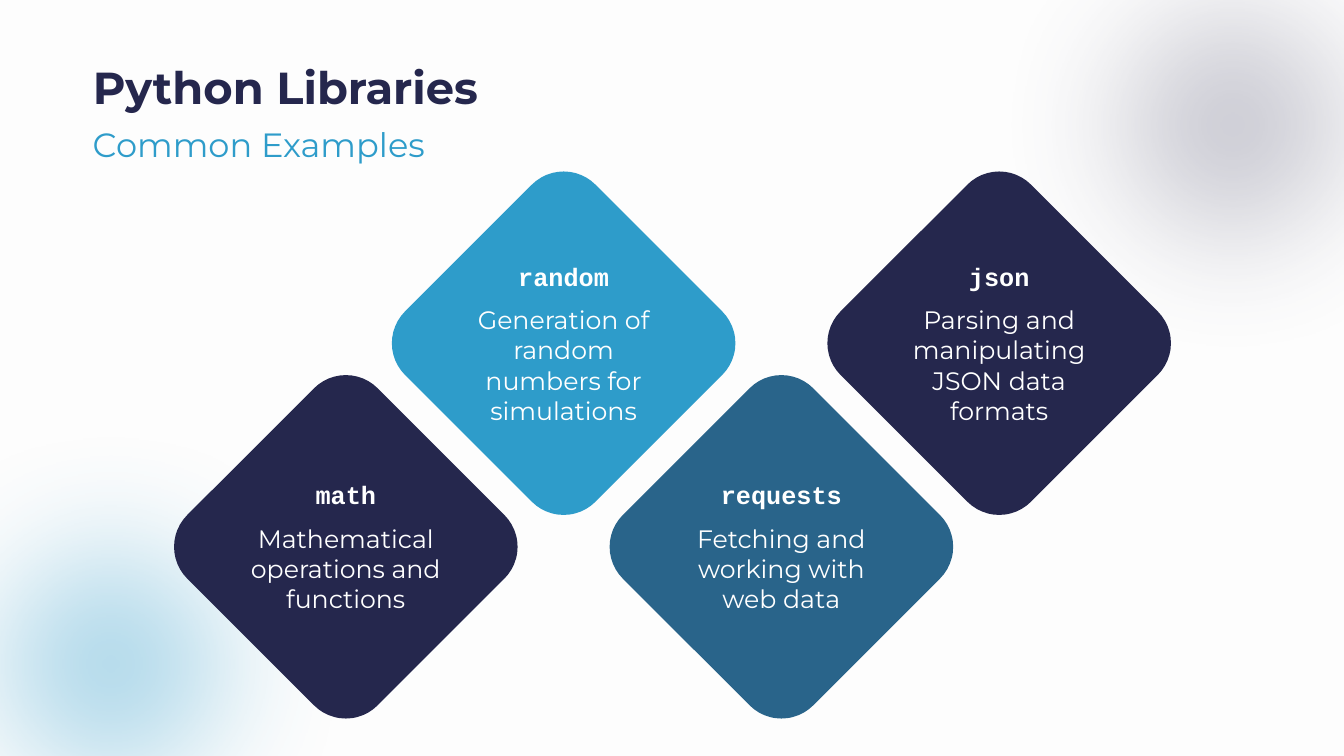
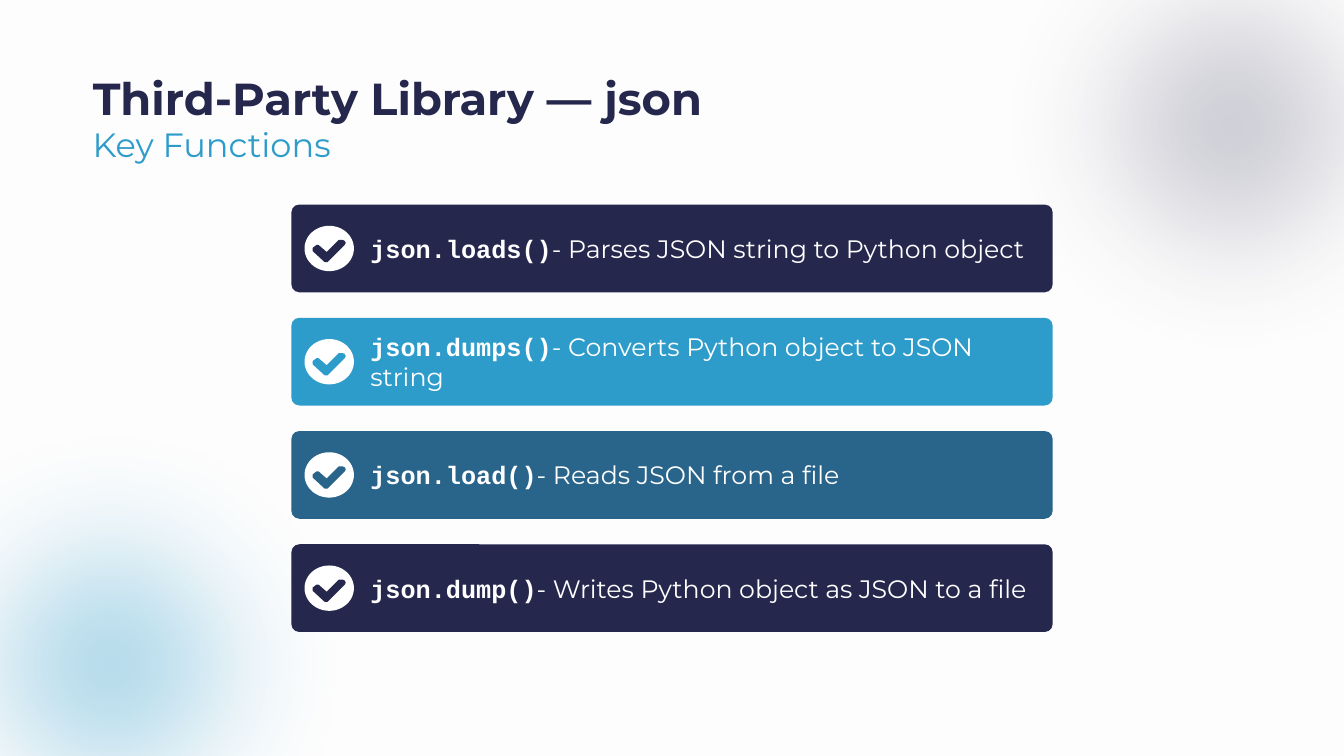
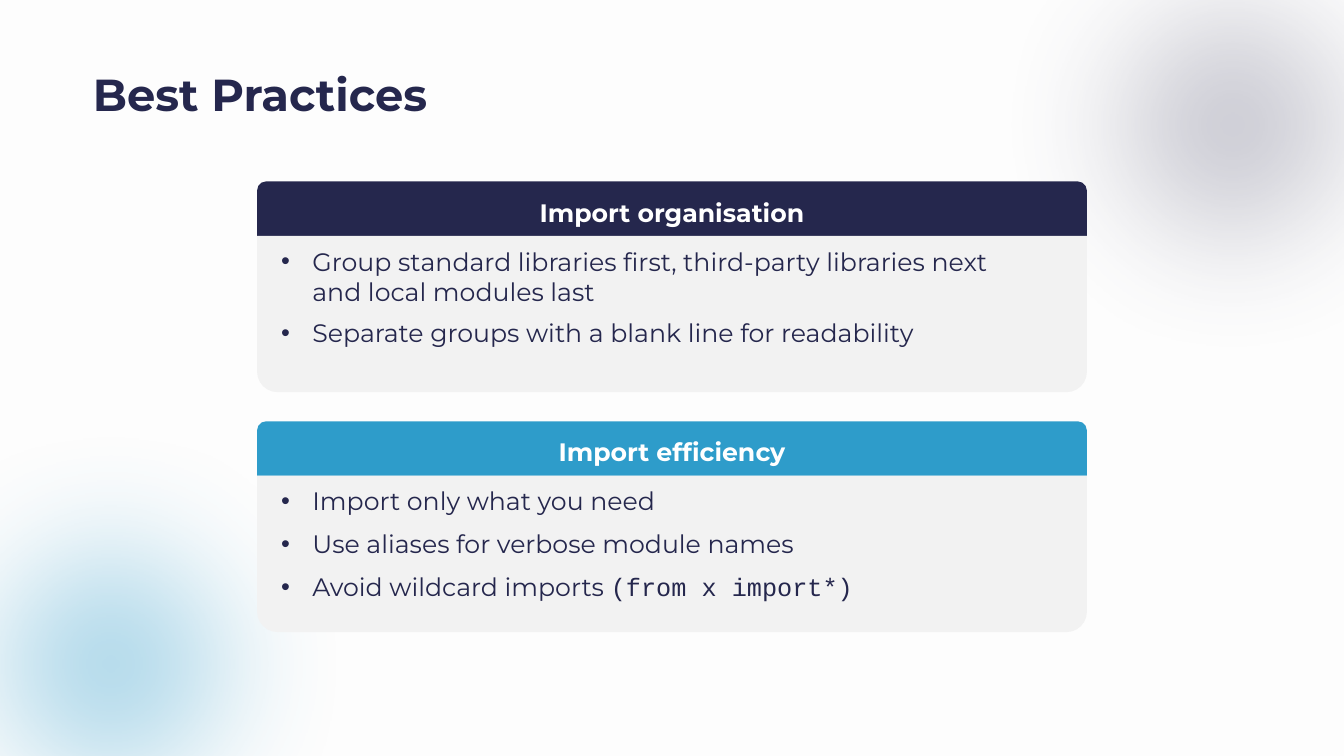
from lxml.etree import SubElement
from pptx import Presentation
from pptx.dml.color import RGBColor
from pptx.enum.shapes import MSO_SHAPE
from pptx.enum.text import MSO_ANCHOR, MSO_AUTO_SIZE, PP_ALIGN
from pptx.oxml.ns import qn
from pptx.util import Inches, Pt

COLORS = {
    "background": "FDFDFD",
    "navy": "25274D",
    "sky": "2E9CCA",
    "teal": "29648A",
    "slate": "464866",
    "panel": "F2F2F2",
    "white": "FFFFFF",
}
BODY_FONT = "Montserrat"
CODE_FONT = "Courier New"


def rgb(color):
    return RGBColor.from_string(COLORS[color])


class Deck:
    """Holds the presentation style and the current slide."""

    def __init__(self):
        self.presentation = Presentation()
        self.presentation.slide_width = Inches(13.33)
        self.presentation.slide_height = Inches(7.5)
        background = self.presentation.slide_master.background.fill
        background.solid()
        background.fore_color.rgb = rgb("background")
        self.slide = None

    def add_slide(self, title, title_top, subtitle=None):
        layout = self.presentation.slide_layouts.get_by_name("Title Only")
        self.slide = self.presentation.slides.add_slide(layout)
        self.glow(-1.86, 3.63, "sky", 40)
        self.glow(9.27, -1.72, "slate", 30)

        shape = self.slide.shapes.title
        shape.left, shape.top = Inches(0.82), Inches(title_top)
        shape.width, shape.height = Inches(11.62), Inches(0.59)
        self.set_frame(shape.text_frame, top=0.07)
        paragraph = shape.text_frame.paragraphs[0]
        self.fill_paragraph(paragraph, [(title, BODY_FONT, True)], "navy", 32)
        paragraph.line_spacing = Pt(45)

        if subtitle:
            paragraph = self.text(0.82, 1.21, 11.62, 0.49,
                                  [(subtitle, BODY_FONT, False)], "sky", 24,
                                  anchor=MSO_ANCHOR.MIDDLE)
            paragraph.line_spacing = 0.9

    def glow(self, left, top, color, opacity):
        """Soft-edged translucent disc in a corner."""
        shape = self.shape(MSO_SHAPE.OVAL, left, top, 5.92, 5.92, color)
        solid_color = shape._element.spPr.find(qn("a:solidFill"))[0]
        SubElement(solid_color, qn("a:alpha"), val=str(opacity * 1000))
        effects = shape._element.spPr.find(qn("a:effectLst"))
        SubElement(effects, qn("a:softEdge"), rad=str(Pt(100)))

    def paint(self, shape, color):
        shape.shadow.inherit = False
        shape.fill.solid()
        shape.fill.fore_color.rgb = rgb(color)
        shape.line.fill.background()
        return shape

    def shape(self, kind, left, top, width, height, color, rotation=0, adjustments=()):
        shape = self.slide.shapes.add_shape(
            kind, Inches(left), Inches(top), Inches(width), Inches(height))
        shape.rotation = rotation
        for index, value in enumerate(adjustments):
            shape.adjustments[index] = value
        return self.paint(shape, color)

    def set_frame(self, frame, anchor=MSO_ANCHOR.TOP, left=0.1, top=0.05, right=0.1):
        frame.word_wrap = True
        frame.auto_size = MSO_AUTO_SIZE.NONE
        frame.vertical_anchor = anchor
        frame.margin_left, frame.margin_right = Inches(left), Inches(right)
        frame.margin_top, frame.margin_bottom = Inches(top), Inches(0.05)

    def fill_paragraph(self, paragraph, runs, color, size=18, align=PP_ALIGN.LEFT):
        """Fill a paragraph with (text, font, bold) runs."""
        paragraph.alignment = align
        paragraph.font.size = Pt(size)
        paragraph.font.color.rgb = rgb(color)
        if len(runs) == 1:
            paragraph.font.name, paragraph.font.bold = runs[0][1:]
        for text, font, bold in runs:
            run = paragraph.add_run()
            run.text = text
            if len(runs) > 1:
                run.font.name, run.font.bold = font, bold

    def text_frame(self, left, top, width, height, anchor=MSO_ANCHOR.TOP):
        box = self.slide.shapes.add_textbox(
            Inches(left), Inches(top), Inches(width), Inches(height))
        self.set_frame(box.text_frame, anchor)
        return box.text_frame

    def text(self, left, top, width, height, runs, color, size=18,
             align=PP_ALIGN.LEFT, anchor=MSO_ANCHOR.TOP):
        paragraph = self.text_frame(left, top, width, height, anchor).paragraphs[0]
        self.fill_paragraph(paragraph, runs, color, size, align)
        return paragraph

    def diamond(self, center, top, text_offset, color, library, description):
        size, text_width = 2.67, 2.1
        self.shape(MSO_SHAPE.ROUNDED_RECTANGLE, center - size / 2, top, size, size,
                   color, rotation=45)
        text_left, text_top = center - text_width / 2, top + text_offset
        self.text(text_left, text_top, text_width, 0.4,
                  [(library, CODE_FONT, True)], "white", align=PP_ALIGN.CENTER)
        self.text(text_left, text_top + 0.43, text_width, 1.31,
                  [(description, BODY_FONT, False)], "white", align=PP_ALIGN.CENTER)

    def check_mark(self, left, top, color):
        self.shape(MSO_SHAPE.OVAL, left, top, 0.49, 0.45, "white")
        outline = [(0.4, 0.15), (0.38, 0.14), (0.34, 0.14), (0.22, 0.26), (0.14, 0.19),
                   (0.12, 0.19), (0.08, 0.22), (0.08, 0.25), (0.2, 0.36), (0.23, 0.36),
                   (0.4, 0.19), (0.41, 0.17)]
        points = [(Inches(left + x), Inches(top + y)) for x, y in outline]
        builder = self.slide.shapes.build_freeform(*points[0])
        builder.add_line_segments(points[1:], close=True)
        self.paint(builder.convert_to_shape(), color)

    def function_bar(self, top, color, function, description):
        left = 2.89
        bar = self.shape(MSO_SHAPE.ROUNDED_RECTANGLE, left, top, 7.55, 0.87, color,
                         adjustments=[0.09])
        self.set_frame(bar.text_frame, MSO_ANCHOR.MIDDLE, left=0.76, right=0.14)
        self.fill_paragraph(bar.text_frame.paragraphs[0],
                            [(function, CODE_FONT, True),
                             (description, BODY_FONT, False)], "white")
        self.check_mark(left + 0.13, top + 0.21, color)

    def bullet_panel(self, top, color, heading, bullets, gap):
        left, width, header_height = 2.55, 8.23, 0.54
        kind = MSO_SHAPE.ROUND_2_SAME_RECTANGLE
        header = self.shape(kind, left, top, width, header_height, color)
        self.set_frame(header.text_frame, MSO_ANCHOR.MIDDLE, top=0.09)
        self.fill_paragraph(header.text_frame.paragraphs[0],
                            [(heading, BODY_FONT, True)], "white",
                            align=PP_ALIGN.CENTER)

        body_top = top + header_height
        self.shape(kind, left, body_top, width, 1.55, "panel",
                   rotation=180, adjustments=[0.13, 0])
        frame = self.text_frame(left + 0.14, body_top + 0.05, 7.61, 1.4)
        for index, runs in enumerate(bullets):
            paragraph = frame.add_paragraph() if index else frame.paragraphs[0]
            properties = paragraph._p.get_or_add_pPr()
            properties.set("marL", str(Inches(0.31)))
            properties.set("indent", str(-Inches(0.31)))
            SubElement(properties, qn("a:buFont"), typeface="Arial")
            SubElement(properties, qn("a:buChar"), char="•")
            self.fill_paragraph(paragraph, runs, "navy")
            if index:
                paragraph.space_before = Pt(gap)


def main():
    deck = Deck()

    # Libraries in a zigzag of diamonds
    deck.add_slide("Python Libraries", 0.43, "Common Examples")
    libraries = [
        ("navy", "math", "Mathematical operations and functions"),
        ("sky", "random", "Generation of random numbers for simulations"),
        ("teal", "requests", "Fetching and working with web data"),
        ("navy", "json", "Parsing and manipulating JSON data formats"),
    ]
    for index, library in enumerate(libraries):
        top, text_offset = (2.07, 0.47) if index % 2 else (4.09, 0.62)
        deck.diamond(3.43 + 2.16 * index, top, text_offset, *library)

    # Key functions as a stack of bars
    deck.add_slide("Third-Party Library — json", 0.54, "Key Functions")
    functions = [
        ("navy", "json.loads()", "- Parses JSON string to Python object"),
        ("sky", "json.dumps()", "- Converts Python object to JSON string"),
        ("teal", "json.load()", "- Reads JSON from a file"),
        ("navy", "json.dump()", "- Writes Python object as JSON to a file"),
    ]
    first_top, last_top = 2.03, 5.4
    pitch = (last_top - first_top) / (len(functions) - 1)
    for index, function in enumerate(functions):
        deck.function_bar(first_top + pitch * index, *function)

    # Import advice in two panels
    deck.add_slide("Best Practices", 0.5)
    deck.bullet_panel(1.8, "navy", "Import organisation", [
        [("Group standard libraries first, third-party libraries next "
          "and local modules last", BODY_FONT, False)],
        [("Separate groups with a blank line for readability", BODY_FONT, False)],
    ], gap=8)
    deck.bullet_panel(4.18, "sky", "Import efficiency", [
        [("Import only what you need", BODY_FONT, False)],
        [("Use aliases for verbose module names", BODY_FONT, False)],
        [("Avoid wildcard imports ", BODY_FONT, False),
         ("(from x import*)", CODE_FONT, False)],
    ], gap=9)

    deck.presentation.save("out.pptx")


if __name__ == "__main__":
    main()
